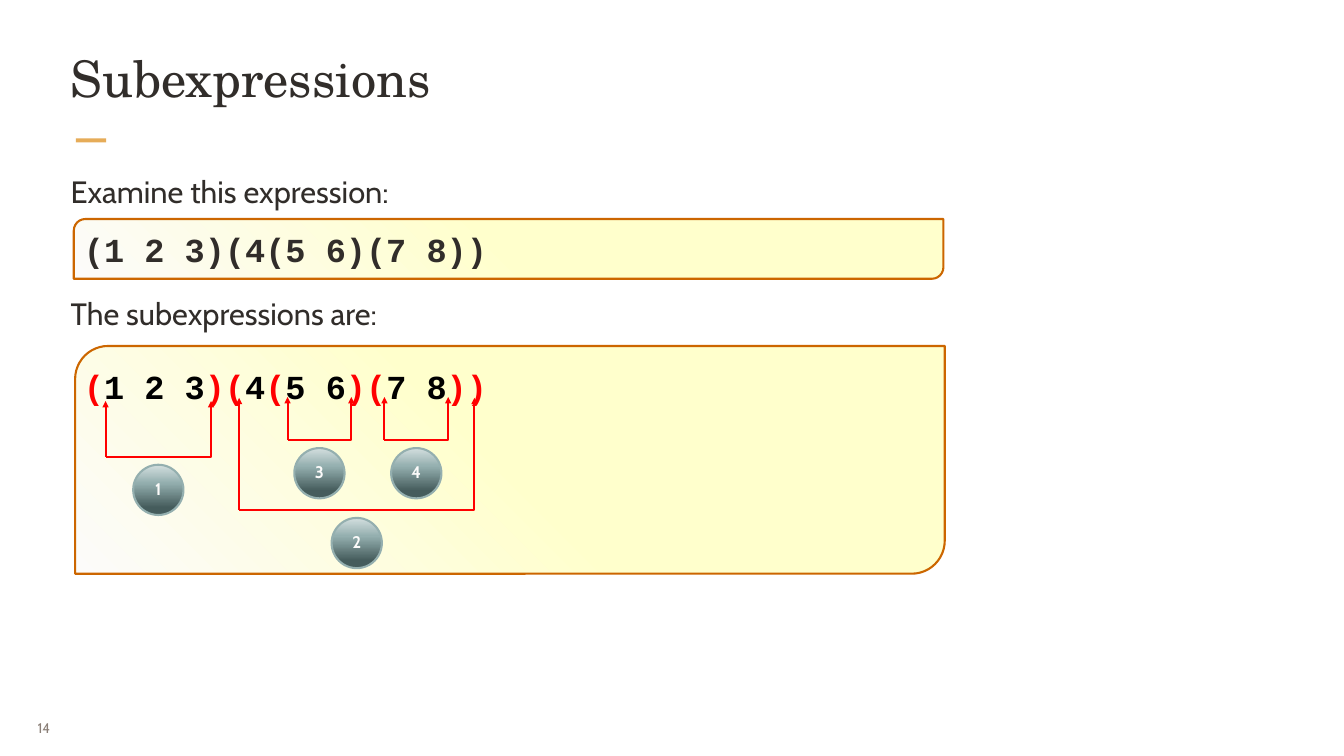
import dataclasses

import pptx
import pptx.dml.color
import pptx.enum.shapes
import pptx.enum.text
import pptx.oxml
import pptx.oxml.ns
import pptx.util
from lxml import etree

Cm, Pt = pptx.util.Cm, pptx.util.Pt
RGB = pptx.dml.color.RGBColor.from_string
MSO = pptx.enum.shapes.MSO_SHAPE
ANCHOR = pptx.enum.text.MSO_ANCHOR
ALIGN = pptx.enum.text.PP_ALIGN
qn = pptx.oxml.ns.qn


@dataclasses.dataclass(frozen=True)
class Theme:
    head_font: str = "TeX Gyre Schola"
    body_font: str = "Cabin"
    code_font: str = "Courier New"
    ink: str = "312D2A"
    muted: str = "8B8078"
    accent: str = "E6AC58"
    code: str = "000000"
    mark: str = "FF0000"
    panel_line: str = "CC6600"
    panel_fill: tuple = ((0, "FFFFCC"), (50, "FFFFCC"), (100, "FCFBFA"))
    badge_line: str = "94AFAF"
    badge_fill: tuple = ((0, "D4DFDF"), (36, "94AFAF"), (85, "455C5C"))
    badge_text: str = "FCFBFA"
    title_size: int = 54
    body_size: int = 33
    code_size: int = 36
    badge_size: int = 18
    number_size: int = 15
    line_width: float = 2.25


T = Theme()
BADGE = 1.9       # badge diameter, cm
BADGE_GAP = 0.3   # from bracket to badge, cm

# Bracket number: left, right, arrow tip, base (cm)
BRACKETS = {
    1: (3.99, 7.98, 15.16, 17.27),
    2: (9.04, 17.93, 15.04, 19.28),
    3: (10.87, 13.28, 15.01, 16.64),
    4: (14.53, 16.94, 15.01, 16.64),
}


def set_all(obj, values):
    for name, value in values.items():
        setattr(obj, name, value)


def set_frame(tf, inset, anchor=ANCHOR.TOP, wrap=True):
    x, y = map(Cm, inset)
    set_all(tf, dict(margin_left=x, margin_right=x, margin_top=y, margin_bottom=y,
                     vertical_anchor=anchor, word_wrap=wrap))


def add_run(p, text, font, size, color, bold=False):
    r = p.add_run()
    r.text = text
    set_all(r.font, dict(name=font, size=Pt(size), bold=bold))
    r.font.color.rgb = RGB(color)


def add_text(s, box, inset=(0.08, 0.08), **frame):
    tf = s.shapes.add_textbox(*map(Cm, box)).text_frame
    set_frame(tf, inset, **frame)
    return tf


def set_line(line, color):
    line.color.rgb = RGB(color)
    line.width = Pt(T.line_width)


def set_gradient(sp, stops, angle):
    sp.fill.gradient()
    grad = sp._element.spPr.find(qn("a:gradFill"))
    gs_list = grad.find(qn("a:gsLst"))
    for gs in list(gs_list):
        gs_list.remove(gs)
    for pos, color in stops:
        gs = etree.SubElement(gs_list, qn("a:gs"), pos=str(pos * 1000))
        etree.SubElement(gs, qn("a:srgbClr"), val=color)
    grad.find(qn("a:lin")).set("ang", str(angle * 60000))


def add_preset(s, kind, box):
    sp = s.shapes.add_shape(kind, *map(Cm, box))
    sp.shadow.inherit = False
    return sp


def add_panel(s, box, corner):
    sp = add_preset(s, MSO.ROUND_2_DIAG_RECTANGLE, box)
    sp.adjustments[0], sp.adjustments[1] = corner, 0
    set_gradient(sp, T.panel_fill, 135)
    set_line(sp.line, T.panel_line)


def add_code(s, box, runs, **frame):
    p = add_text(s, box, **frame).paragraphs[0]
    for text, color in runs:
        add_run(p, text, T.code_font, T.code_size, color, bold=True)


def set_arrow(sp):
    set_line(sp.line, T.mark)
    ln = sp._element.spPr.find(qn("a:ln"))
    etree.SubElement(ln, qn("a:tailEnd"), type="triangle")


def add_bracket(s, left, right, tip, base):
    # Base and right arm
    left, right, tip, base = map(Cm, (left, right, tip, base))
    builder = s.shapes.build_freeform(left, base, scale=1.0)
    builder.add_line_segments([(right, base), (right, tip)], close=False)
    sp = builder.convert_to_shape()
    sp.shadow.inherit = False
    sp.fill.background()
    set_arrow(sp)
    # Left arm
    arm = s.shapes.add_connector(pptx.enum.shapes.MSO_CONNECTOR.STRAIGHT,
                                 left, base, left, tip)
    set_arrow(arm)
    etree.SubElement(arm._element.spPr, qn("a:effectLst"))


def add_badge(s, number, left, right, base):
    x = (left + right - BADGE) / 2
    sp = add_preset(s, MSO.OVAL, (x, base + BADGE_GAP, BADGE, BADGE))
    set_gradient(sp, T.badge_fill, 90)
    set_line(sp.line, T.badge_line)
    set_frame(sp.text_frame, (0.25, 0.25), ANCHOR.MIDDLE, False)
    p = sp.text_frame.paragraphs[0]
    set_all(p, dict(alignment=ALIGN.CENTER, line_spacing=0.95))
    add_run(p, str(number), T.body_font, T.badge_size, T.badge_text, bold=True)


def main():
    prs = pptx.Presentation()
    set_all(prs, dict(slide_width=Cm(50.8), slide_height=Cm(28.58)))
    s = prs.slides.add_slide(prs.slide_layouts[6])

    # Title, accent bar and slide number
    bar = add_preset(s, MSO.RECTANGLE, (2.87, 5.23, 1.14, 0.15))
    bar.fill.solid()
    bar.fill.fore_color.rgb = RGB(T.accent)
    bar.line.fill.background()
    p = add_text(s, (1.09, 26.77, 1.65, 1.47), (0.33, 0.18),
                 anchor=ANCHOR.MIDDLE, wrap=False).paragraphs[0]
    p.alignment = ALIGN.JUSTIFY
    add_run(p, "14", T.body_font, T.number_size, T.muted)
    p = add_text(s, (2.59, 1.7, 45.62, 3.25)).paragraphs[0]
    add_run(p, "Subexpressions", T.head_font, T.title_size, T.ink)

    # Lead-in lines, spaced to leave room for the first panel
    tf = add_text(s, (2.59, 6.32, 45.62, 7.77))
    lead, second = tf.paragraphs[0], tf.add_paragraph()
    second.space_before = Pt(87)
    for p, text in ((lead, "Examine this expression:"),
                    (second, "The subexpressions are:")):
        p.line_spacing = 1.1
        add_run(p, text, T.body_font, T.body_size, T.ink)

    # Expression
    add_panel(s, (2.79, 8.28, 32.87, 2.26), 0.194)
    add_code(s, (2.79, 8.31, 32.87, 2.24), [("(1 2 3)(4(5 6)(7 8))", T.ink)],
             inset=(0.38, 0.03), anchor=ANCHOR.MIDDLE)

    # Subexpressions, with the parentheses marked
    add_panel(s, (2.84, 13.08, 32.87, 8.61), 0.145)
    parts = ["(", "1 2 3", ")(", "4", "(", "5 6", ")(", "7 8", "))"]
    runs = [(part, T.code if i % 2 else T.mark) for i, part in enumerate(parts)]
    add_code(s, (2.79, 13.13, 32.87, 8.59), runs, inset=(0.38, 0.7))

    # Brackets and their numbers
    for left, right, tip, base in BRACKETS.values():
        add_bracket(s, left, right, tip, base)
    for number, (left, right, _, base) in BRACKETS.items():
        add_badge(s, number, left, right, base)

    prs.save("out.pptx")


if __name__ == "__main__":
    main()
